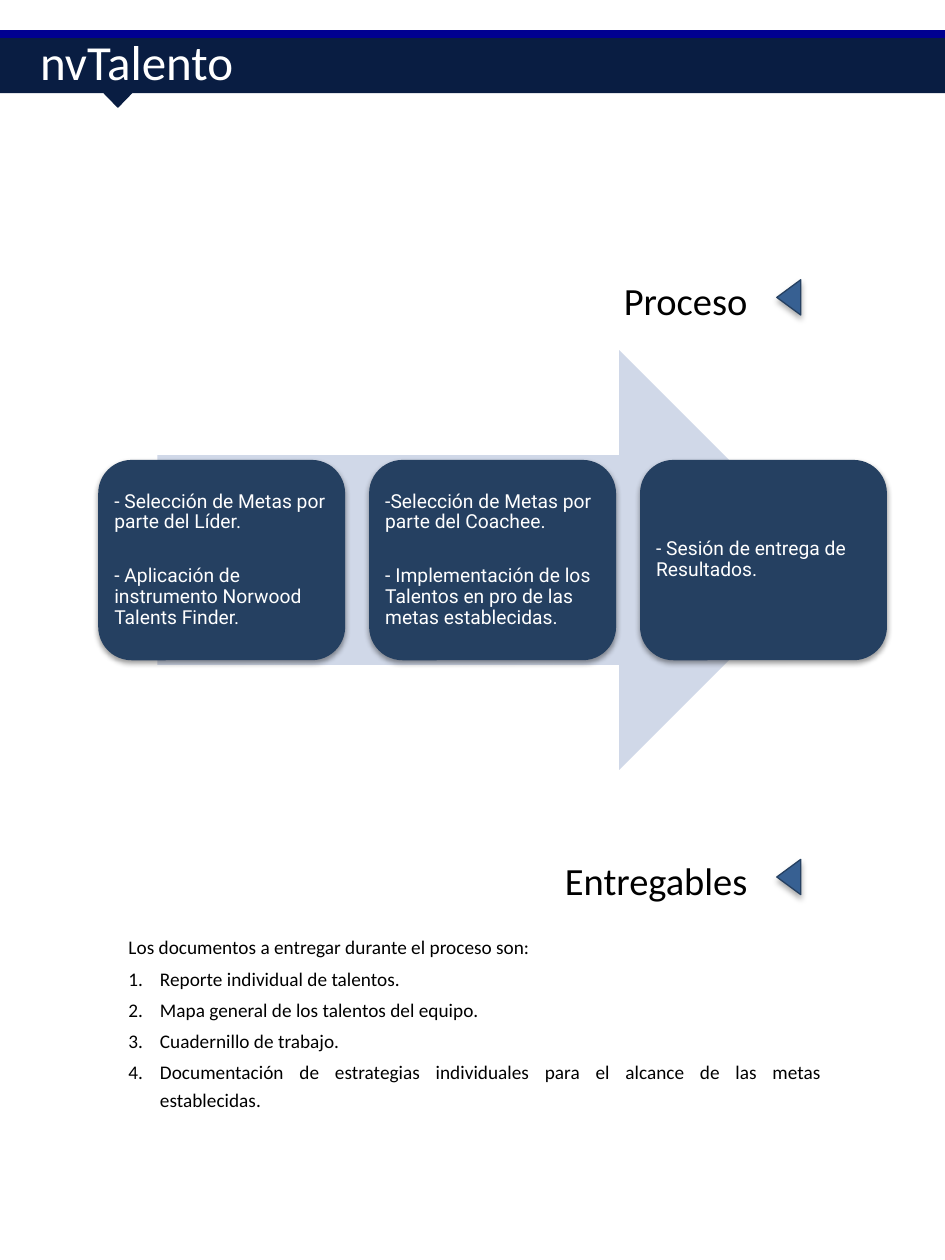
from lxml import etree
from pptx import Presentation
from pptx.dml.color import RGBColor
from pptx.enum.shapes import MSO_CONNECTOR, MSO_SHAPE
from pptx.enum.text import MSO_ANCHOR, PP_ALIGN
from pptx.oxml import parse_xml
from pptx.oxml.ns import nsdecls, qn
from pptx.util import Inches, Pt

RECT = MSO_SHAPE.RECTANGLE
ROUND = MSO_SHAPE.ROUNDED_RECTANGLE
ARROW = MSO_SHAPE.RIGHT_ARROW
PEAK = MSO_SHAPE.ISOSCELES_TRIANGLE
LEFT, RIGHT, EVEN = PP_ALIGN.LEFT, PP_ALIGN.RIGHT, PP_ALIGN.JUSTIFY
MIDDLE = MSO_ANCHOR.MIDDLE
COLOR = RGBColor.from_string
NAVY, WHITE, BLACK = "091D42", "FFFFFF", "000000"

deck = Presentation()
deck.slide_width, deck.slide_height = Inches(7.5), Inches(10)
slide = deck.slides.add_slide(deck.slide_layouts[6])
col, row = deck.slide_width / 75, deck.slide_height / 100


def form(kind, x, y, w, h, fill=None, line=None, shade=None):
    area = [int(n) for n in (x * col, y * row, w * col, h * row)]
    if kind is None:
        return slide.shapes.add_textbox(*area)
    shape = slide.shapes.add_shape(kind, *area)
    shape.shadow.inherit = False
    shape.fill.solid()
    shape.fill.fore_color.rgb = COLOR(fill)
    if line:
        shape.line.color.rgb = COLOR(line)
        shape.line.width = Pt(0.75)
    else:
        shape.line.fill.background()
    if shade:
        alpha, blur, dist = shade
        shape._element.spPr.find(qn("a:effectLst")).append(parse_xml(
            f'<a:outerShdw {nsdecls("a")} blurRad="{Pt(blur)}" dist="{Pt(dist)}" '
            f'dir="5400000" rotWithShape="0"><a:srgbClr val="000000">'
            f'<a:alpha val="{alpha}000"/></a:srgbClr></a:outerShdw>'))
    return shape


def write(shape, lines, size, color, align=LEFT, font="Calibri", inset=None):
    frame = shape.text_frame
    frame.word_wrap = True
    if inset is not None:
        frame.margin_left = frame.margin_right = Inches(inset)
        frame.margin_top = frame.margin_bottom = Inches(inset)
    frame.text = "\n".join(lines)
    for para in frame.paragraphs:
        para.alignment = align
        para.font.size = Pt(size)
        para.font.name = font
        para.font.color.rgb = COLOR(color)
    return frame


form(RECT, 0, 2.7, 75, 4.7, NAVY)
title = write(form(None, 2.2, 3.2, 21.8, 3.2), ["nvTalento"], 28, WHITE)
title.vertical_anchor = MIDDLE
form(PEAK, 7.8, 6.9, 3.1, 1.6, NAVY, NAVY).rotation = 180

top = int(2.7 * row)
rule = slide.shapes.add_connector(MSO_CONNECTOR.STRAIGHT, 0, top, deck.slide_width, top)
rule.line.color.rgb = COLOR("000090")
rule.line.width = Pt(4.5)
etree.SubElement(rule._element.spPr, qn("a:effectLst"))

for head, y in (("Proceso", 21.5), ("Entregables", 67.5)):
    write(form(None, 27.9, y, 32.4, 4.7), [head], 22, BLACK, RIGHT)
    mark = form(PEAK, 61.2, y + 1.15, 2.8, 1.9, "376092", "254061", (32, 3.5, 2.2))
    mark.rotation = 270

form(ARROW, 12.5, 27.8, 53.3, 33.3, "D0D8E8")
steps = [
    ["- Selección de Metas por parte del Líder.",
     "- Aplicación de instrumento Norwood Talents Finder."],
    ["-Selección de Metas por parte del Coachee.",
     "- Implementación de los Talentos en pro de las metas establecidas."],
    ["- Sesión de entrega de Resultados."],
]
for i, lines in enumerate(steps):
    card = form(ROUND, 7.8 + 21.5 * i, 36.5, 19.6, 15.9, "254061", shade=(38, 3, 1.6))
    body = write(card, lines, 11, WHITE, font="Roboto", inset=0.05)
    body.vertical_anchor = MIDDLE
    for para in body.paragraphs:
        para.line_spacing = 0.9
    for para in body.paragraphs[:-1]:
        para.space_after = Pt(19)

items = [
    "Los documentos a entregar durante el proceso son:",
    "Reporte individual de talentos.",
    "Mapa general de los talentos del equipo.",
    "Cuadernillo de trabajo.",
    "Documentación de estrategias individuales para el alcance de las metas establecidas.",
]
notes = write(form(None, 10.2, 73.9, 55, 16.4), items, 11, BLACK, EVEN, inset=0)
for i, para in enumerate(notes.paragraphs):
    para.line_spacing = 1.2
    para.space_before = Pt(2)
    if i:
        props = para._p.get_or_add_pPr()
        props.set("marL", str(Inches(0.25)))
        props.set("indent", str(-Inches(0.25)))
        number = parse_xml(f'<a:buAutoNum {nsdecls("a")} type="arabicPeriod"/>')
        props.find(qn("a:defRPr")).addprevious(number)

deck.save("out.pptx")
